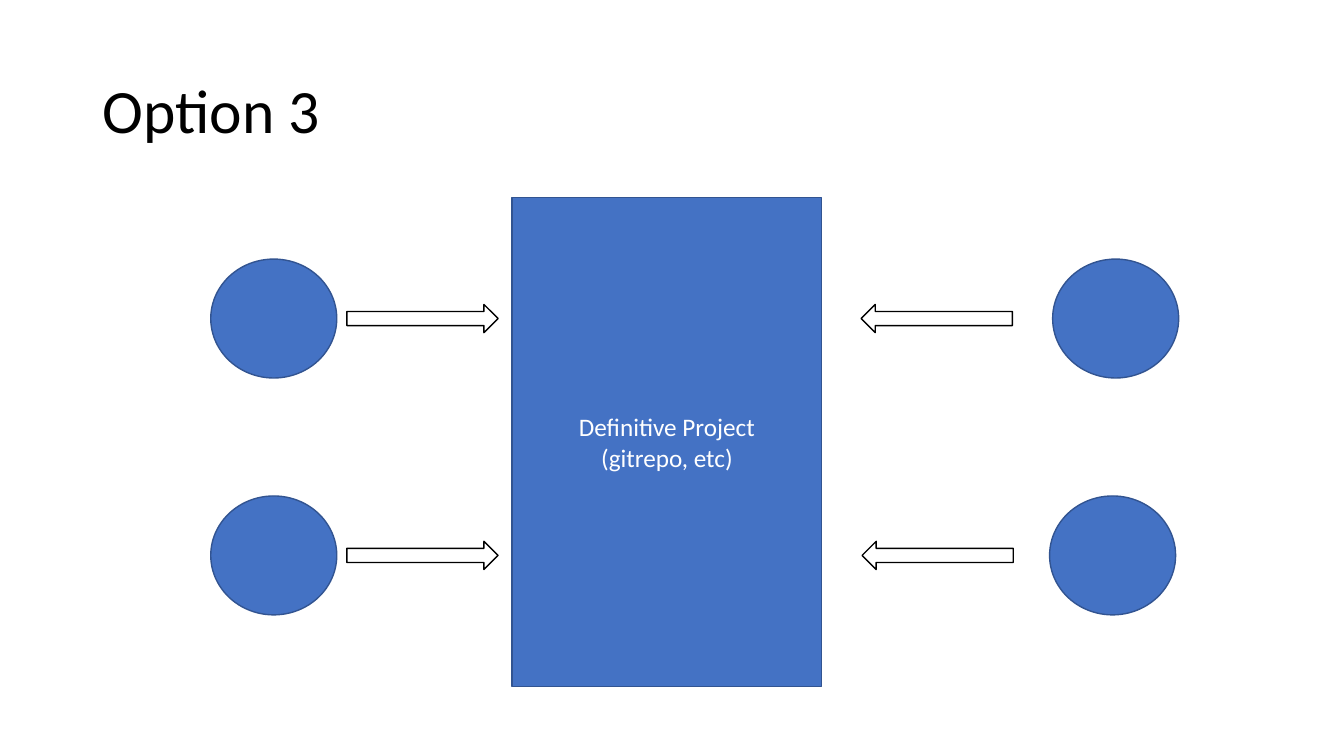
from typing import NamedTuple

from pptx import Presentation
from pptx.dml.color import RGBColor
from pptx.enum import shapes, text
from pptx.util import Inches, Pt

BLACK = RGBColor(0x00, 0x00, 0x00)
WHITE = RGBColor(0xFF, 0xFF, 0xFF)
BLUE = RGBColor(0x44, 0x72, 0xC4)
DARK_BLUE = RGBColor(0x32, 0x54, 0x91)

ROW_TOPS = (2.57, 4.92)
ARROW_DROP = 0.45


class Contributor(NamedTuple):
    row: int
    circle_left: float
    arrow_left: float
    rotation: int


CONTRIBUTORS = (
    Contributor(0, 2.09, 3.44, 0),
    Contributor(1, 2.09, 3.44, 0),
    Contributor(0, 10.44, 8.54, 180),
    Contributor(1, 10.41, 8.55, 180),
)


def add_outlined(s, kind, left: float, top: float, width: float, height: float,
                 fill: RGBColor, line: RGBColor):
    sp = s.shapes.add_shape(kind, Inches(left), Inches(top), Inches(width), Inches(height))
    sp.shadow.inherit = False
    sp.fill.solid()
    sp.fill.fore_color.rgb = fill
    sp.line.color.rgb = line
    sp.line.width = Pt(1)
    return sp


def write_lines(tf, lines: tuple[str, ...], size: int, color: RGBColor,
                align: text.PP_ALIGN, spacing: float = 1.0) -> None:
    tf.word_wrap = True
    tf.vertical_anchor = text.MSO_ANCHOR.MIDDLE
    tf.text = "\n".join(lines)
    for p in tf.paragraphs:
        p.alignment = align
        p.line_spacing = spacing
        p.font.name = "Calibri"
        p.font.size = Pt(size)
        p.font.color.rgb = color


def add_contributor(s, item: Contributor) -> None:
    top = ROW_TOPS[item.row]
    add_outlined(s, shapes.MSO_SHAPE.OVAL, item.circle_left, top, 1.25, 1.18,
                 BLUE, DARK_BLUE)
    arrow = add_outlined(s, shapes.MSO_SHAPE.RIGHT_ARROW, item.arrow_left,
                         top + ARROW_DROP, 1.5, 0.28, WHITE, BLACK)
    arrow.rotation = item.rotation


def main() -> None:
    prs = Presentation()
    prs.slide_width = Inches(13.33)
    prs.slide_height = Inches(7.5)
    s = prs.slides.add_slide(prs.slide_layouts[6])

    title = s.shapes.add_textbox(Inches(0.92), Inches(0.4), Inches(11.5), Inches(1.45))
    write_lines(title.text_frame, ("Option 3",), 44, BLACK, text.PP_ALIGN.LEFT, 0.9)

    project = add_outlined(s, shapes.MSO_SHAPE.RECTANGLE, 5.08, 1.96, 3.07, 4.85,
                           BLUE, DARK_BLUE)
    write_lines(project.text_frame, ("Definitive Project", "(gitrepo, etc)"), 18, WHITE,
                text.PP_ALIGN.CENTER)

    for item in CONTRIBUTORS:
        add_contributor(s, item)

    prs.save("out.pptx")


if __name__ == "__main__":
    main()
